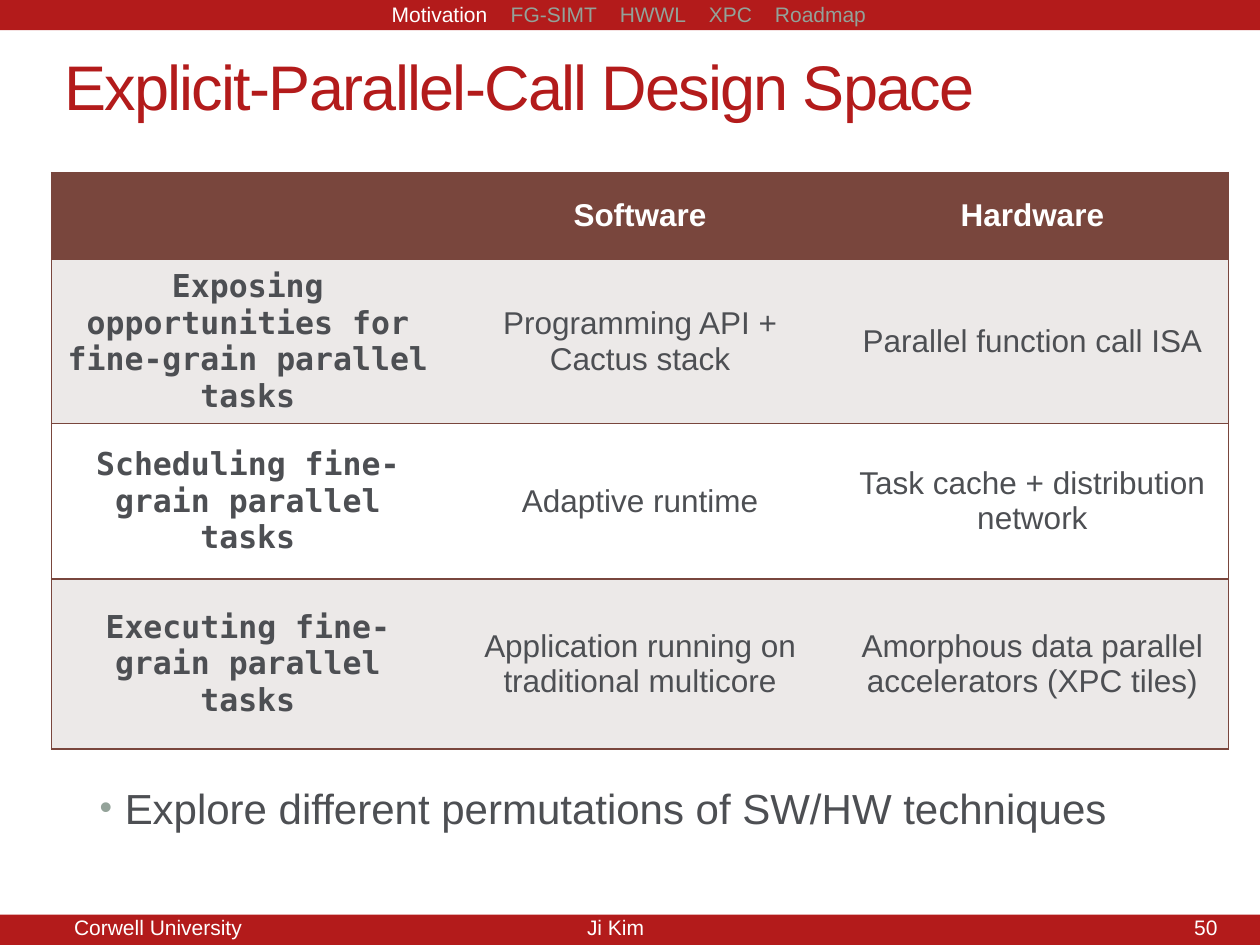
from lxml import etree
from pptx import Presentation
from pptx.dml.color import RGBColor
from pptx.enum.shapes import MSO_SHAPE
from pptx.enum.text import MSO_ANCHOR, MSO_AUTO_SIZE, PP_ALIGN
from pptx.oxml import parse_xml
from pptx.oxml.ns import qn
from pptx.util import Pt

THEME = {
    "red": "B31B1B", "brown": "79463D", "band": "ECE9E8", "white": "FFFFFF",
    "text": "4D4F53", "muted": "93A299",
    "font": "Arial", "mono": "DejaVu Sans Mono",
    "title": 36, "list": 24, "table": 18, "small": 12,
}
A = "http://schemas.openxmlformats.org/drawingml/2006/main"


def add_run(p, text, size, color, font="font", bold=False):
    r = p.add_run()
    r.text = text
    r.font.size = Pt(THEME[size])
    r.font.name = THEME[font]
    r.font.bold = bold
    r.font.color.rgb = RGBColor.from_string(THEME[color])
    return r


def add_label(s, left, top, width, align):
    tf = s.shapes.add_textbox(Pt(left), Pt(top), Pt(width), Pt(21.8)).text_frame
    tf.word_wrap = True
    p = tf.paragraphs[0]
    p.alignment = align
    return p


prs = Presentation()
prs.slide_width, prs.slide_height = Pt(720), Pt(540)
s = prs.slides.add_slide(prs.slide_layouts[1])

# Top and bottom bars
for top in (0, 522.7):
    bar = s.shapes.add_shape(MSO_SHAPE.RECTANGLE, 0, Pt(top), Pt(720), Pt(17.3))
    bar.shadow.inherit = False
    bar.fill.solid()
    bar.fill.fore_color.rgb = RGBColor.from_string(THEME["red"])
    bar.line.fill.background()

# Section navigation: one tab stop per section
sections = [("Motivation", 224), ("FG-SIMT", 292), ("HWWL", 354.3),
            ("XPC", 405.2), ("Roadmap", 443)]
p = add_label(s, 0, -2.9, 720, PP_ALIGN.LEFT)
tabs = etree.SubElement(p._p.get_or_add_pPr(), qn("a:tabLst"))
for i, (name, x) in enumerate(sections):
    stop = etree.SubElement(tabs, qn("a:tab"))
    stop.set("pos", str(Pt(x - 7.2)))
    stop.set("algn", "l")
    add_run(p, "\t" + name, "small", "muted" if i else "white")

# Footer
for text, left, top, width, align in [
    ("Corwell University", 0, 519.1, 180.7, PP_ALIGN.CENTER),
    ("Ji Kim", 225.4, 519.1, 252.7, PP_ALIGN.CENTER),
    ("50", 535, 519.1, 167.8, PP_ALIGN.RIGHT),
]:
    add_run(add_label(s, left, top, width, align), text, "small", "white")

# Title
title = s.shapes.title
title.left, title.top, title.width, title.height = Pt(29.5), Pt(18), Pt(672.5), Pt(61.2)
tf = title.text_frame
tf.auto_size = MSO_AUTO_SIZE.NONE
tf.vertical_anchor = MSO_ANCHOR.MIDDLE
p = tf.paragraphs[0]
p.alignment = PP_ALIGN.LEFT
r = add_run(p, "Explicit-Parallel-Call Design Space", "title", "red")
r.font._element.set("spc", "-100")

# Design space table
rows = [
    ("", "Software", "Hardware"),
    ("Exposing opportunities for fine-grain parallel tasks",
     "Programming API + Cactus stack", "Parallel function call ISA"),
    ("Scheduling fine-grain parallel tasks",
     "Adaptive runtime", "Task cache + distribution network"),
    ("Executing fine-grain parallel tasks",
     "Application running on traditional multicore",
     "Amorphous data parallel accelerators (XPC tiles)"),
]
heights = [49.7, 91, 89, 97]
table = s.shapes.add_table(4, 3, Pt(29.5), Pt(98.6), Pt(672.5), Pt(sum(heights))).table
for col in table.columns:
    col.width = Pt(672.5 / 3)
for i, (row, height) in enumerate(zip(rows, heights)):
    table.rows[i].height = Pt(height)
    for j, text in enumerate(row):
        cell = table.cell(i, j)
        cell.vertical_anchor = MSO_ANCHOR.MIDDLE
        cell.fill.solid()
        fill = "brown" if i == 0 else "band" if i % 2 else "white"
        cell.fill.fore_color.rgb = RGBColor.from_string(THEME[fill])
        if text:
            p = cell.text_frame.paragraphs[0]
            p.alignment = PP_ALIGN.CENTER
            add_run(p, text, "table", "text" if i else "white",
                    "mono" if j == 0 else "font", bold=i == 0 or j == 0)
        # Horizontal rules and outer frame, no inner verticals
        edges = [("lnL", j == 0), ("lnR", j == 2), ("lnT", True), ("lnB", True)]
        for k, (edge, shown) in enumerate(edges):
            paint = (f'<a:solidFill><a:srgbClr val="{THEME["brown"]}"/></a:solidFill>'
                     if shown else "<a:noFill/>")
            cell._tc.get_or_add_tcPr().insert(k, parse_xml(
                f'<a:{edge} xmlns:a="{A}" w="{Pt(1)}">{paint}</a:{edge}>'))

# Takeaway list
body = s.placeholders[1]
body.left, body.top, body.width, body.height = Pt(49.7), Pt(443.5), Pt(620.6), Pt(80.6)
tf = body.text_frame
tf.auto_size = MSO_AUTO_SIZE.NONE
p = tf.paragraphs[0]
add_run(p, "Explore different permutations of SW/HW techniques", "list", "text")
pPr = p._p.get_or_add_pPr()
pPr.set("marL", str(Pt(14.4)))
pPr.set("indent", str(-Pt(14.4)))
for bullet in (f'<a:buClr xmlns:a="{A}"><a:srgbClr val="{THEME["muted"]}"/></a:buClr>',
               f'<a:buSzPct xmlns:a="{A}" val="85000"/>',
               f'<a:buFont xmlns:a="{A}" typeface="{THEME["font"]}"/>',
               f'<a:buChar xmlns:a="{A}" char="•"/>'):
    pPr.append(parse_xml(bullet))

prs.save("out.pptx")
